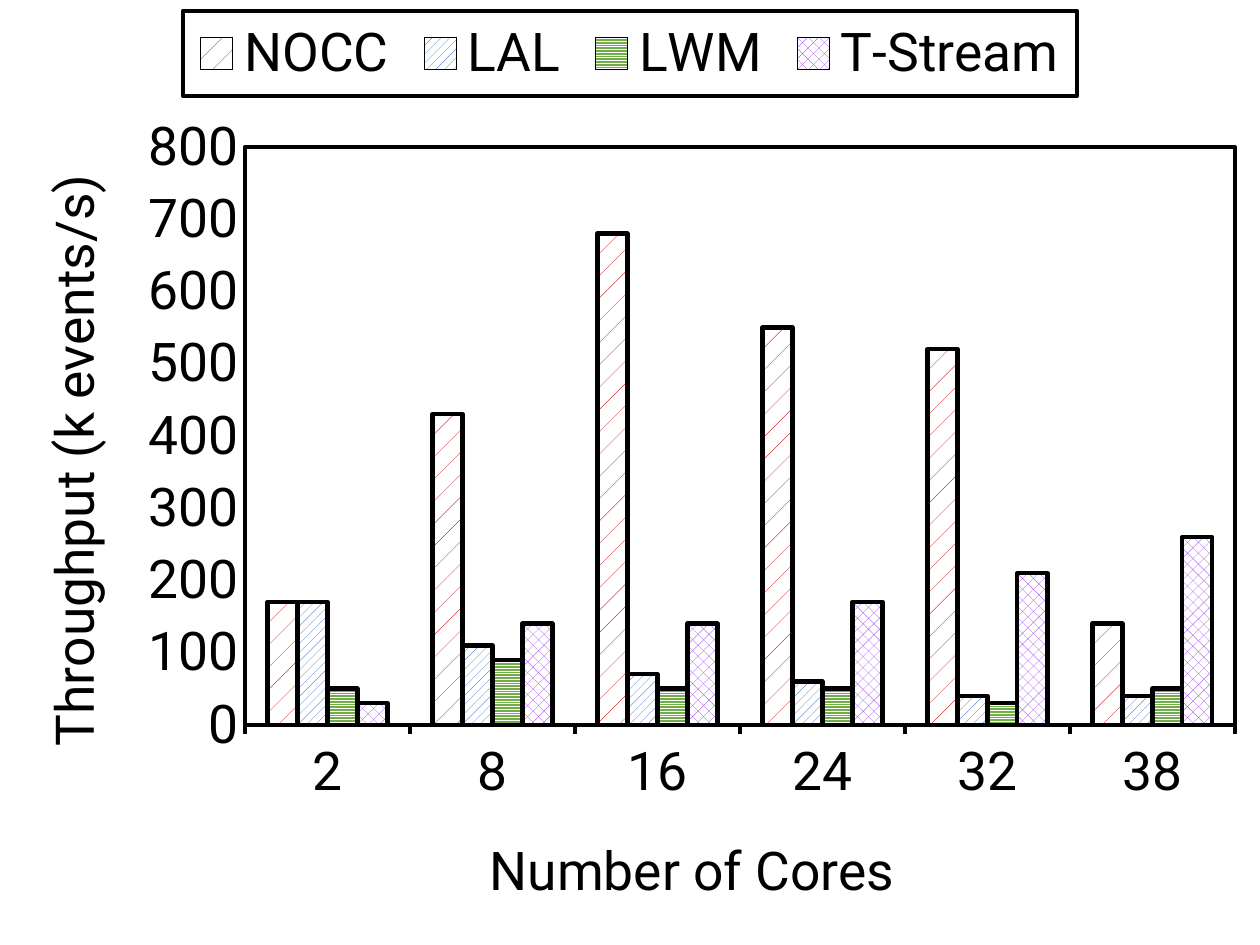
"""Build a slide with a clustered column chart of throughput by number of cores."""
import lxml.etree
import pptx
import pptx.chart.data
import pptx.dml.color
import pptx.enum.chart
import pptx.enum.dml
import pptx.oxml
import pptx.oxml.ns
import pptx.util

WIDTH, HEIGHT = 1260, 945
PX = pptx.util.Cm(20) / WIDTH
FONT = "Roboto"
COLORS = {
    "black": "000000",
    "white": "FFFFFF",
    "red": "C90001",
    "blue": "4472C4",
    "green": "70AD47",
    "purple": "A345EE",
}
PATTERN = pptx.enum.dml.MSO_PATTERN
CORES = ["2", "8", "16", "24", "32", "38"]
SERIES = [
    ("NOCC", [170, 430, 680, 550, 520, 140], PATTERN.PERCENT_5, "red"),
    ("LAL", [170, 110, 70, 60, 40, 40], PATTERN.WIDE_UPWARD_DIAGONAL, "blue"),
    ("LWM", [50, 90, 50, 50, 30, 50], PATTERN.DARK_HORIZONTAL, "green"),
    ("T-Stream", [30, 140, 140, 170, 210, 260], PATTERN.PERCENT_50, "purple"),
]
BORDER = (
    f'<c:spPr {pptx.oxml.ns.nsdecls("c", "a")}><a:noFill/><a:ln w="25400"><a:solidFill>'
    f'<a:srgbClr val="{COLORS["black"]}"/></a:solidFill></a:ln></c:spPr>'
)


def style_font(font):
    font.name = FONT
    font.size = pptx.util.Pt(24)
    font.bold = False
    font.color.rgb = pptx.dml.color.RGBColor.from_string(COLORS["black"])


def place(element, index, left, top, width=None, height=None, inner=False):
    for layout in element.findall(pptx.oxml.ns.qn("c:layout")):
        element.remove(layout)
    layout = pptx.oxml.parse_xml(f'<c:layout {pptx.oxml.ns.nsdecls("c")}><c:manualLayout/></c:layout>')
    settings = [("layoutTarget", "inner")] if inner else []
    settings += [("xMode", "edge"), ("yMode", "edge")]
    settings += [("x", round(left / WIDTH, 4)), ("y", round(top / HEIGHT, 4))]
    if width:
        settings += [("w", round(width / WIDTH, 4)), ("h", round(height / HEIGHT, 4))]
    for name, value in settings:
        lxml.etree.SubElement(layout[0], pptx.oxml.ns.qn(f"c:{name}")).set("val", str(value))
    element.insert(index, layout)


presentation = pptx.Presentation()
presentation.slide_width = round(WIDTH * PX)
presentation.slide_height = round(HEIGHT * PX)
slide = presentation.slides.add_slide(presentation.slide_layouts[6])

chart_data = pptx.chart.data.CategoryChartData()
chart_data.categories = CORES
for name, values, pattern, color in SERIES:
    chart_data.add_series(name, values)
chart = slide.shapes.add_chart(
    pptx.enum.chart.XL_CHART_TYPE.COLUMN_CLUSTERED,
    0, 0, round(WIDTH * PX), round(HEIGHT * PX), chart_data,
).chart
chart.has_title = False
style_font(chart.font)

plot = chart.plots[0]
plot.gap_width = 150
plot.overlap = 0
plot.vary_by_categories = False
for series, (name, values, pattern, color) in zip(plot.series, SERIES):
    fill = series.format.fill
    fill.patterned()
    fill.pattern = pattern
    fill.fore_color.rgb = pptx.dml.color.RGBColor.from_string(COLORS[color])
    fill.back_color.rgb = pptx.dml.color.RGBColor.from_string(COLORS["white"])
    series.invert_if_negative = False
    series.format.line.width = pptx.util.Pt(2)
    series.format.line.color.rgb = pptx.dml.color.RGBColor.from_string(COLORS["black"])

category_axis, value_axis = chart.category_axis, chart.value_axis
for axis, title, left, top in [
    (category_axis, "Number of Cores", 480, 824),
    (value_axis, "Throughput (k events/s)", 28, 165),
]:
    axis.has_major_gridlines = False
    axis.minor_tick_mark = pptx.enum.chart.XL_TICK_MARK.NONE
    style_font(axis.tick_labels.font)
    run = axis.axis_title.text_frame.paragraphs[0].add_run()
    run.text = title
    style_font(run.font)
    place(axis.axis_title.element, 1, left, top)

category_axis.major_tick_mark = pptx.enum.chart.XL_TICK_MARK.OUTSIDE
category_axis.format.line.width = pptx.util.Pt(2)
category_axis.format.line.color.rgb = pptx.dml.color.RGBColor.from_string(COLORS["black"])
value_axis.major_tick_mark = pptx.enum.chart.XL_TICK_MARK.NONE
value_axis.format.line.fill.background()
value_axis.minimum_scale = 0
value_axis.maximum_scale = 800
value_axis.major_unit = 100
value_axis.tick_labels.number_format = "General"
value_axis.tick_labels.number_format_is_linked = False

chart.has_legend = True
chart.legend.position = pptx.enum.chart.XL_LEGEND_POSITION.TOP
chart.legend.include_in_layout = False
style_font(chart.legend.font)
legend = chart.element.xpath(".//c:legend")[0]
place(legend, 1, 183, 11, 894, 85)
legend.find(pptx.oxml.ns.qn("c:overlay")).addnext(pptx.oxml.parse_xml(BORDER))

plot_area = chart.element.xpath(".//c:plotArea")[0]
place(plot_area, 0, 245, 147, 990, 578, inner=True)
plot_area.append(pptx.oxml.parse_xml(BORDER))

presentation.save("out.pptx")
